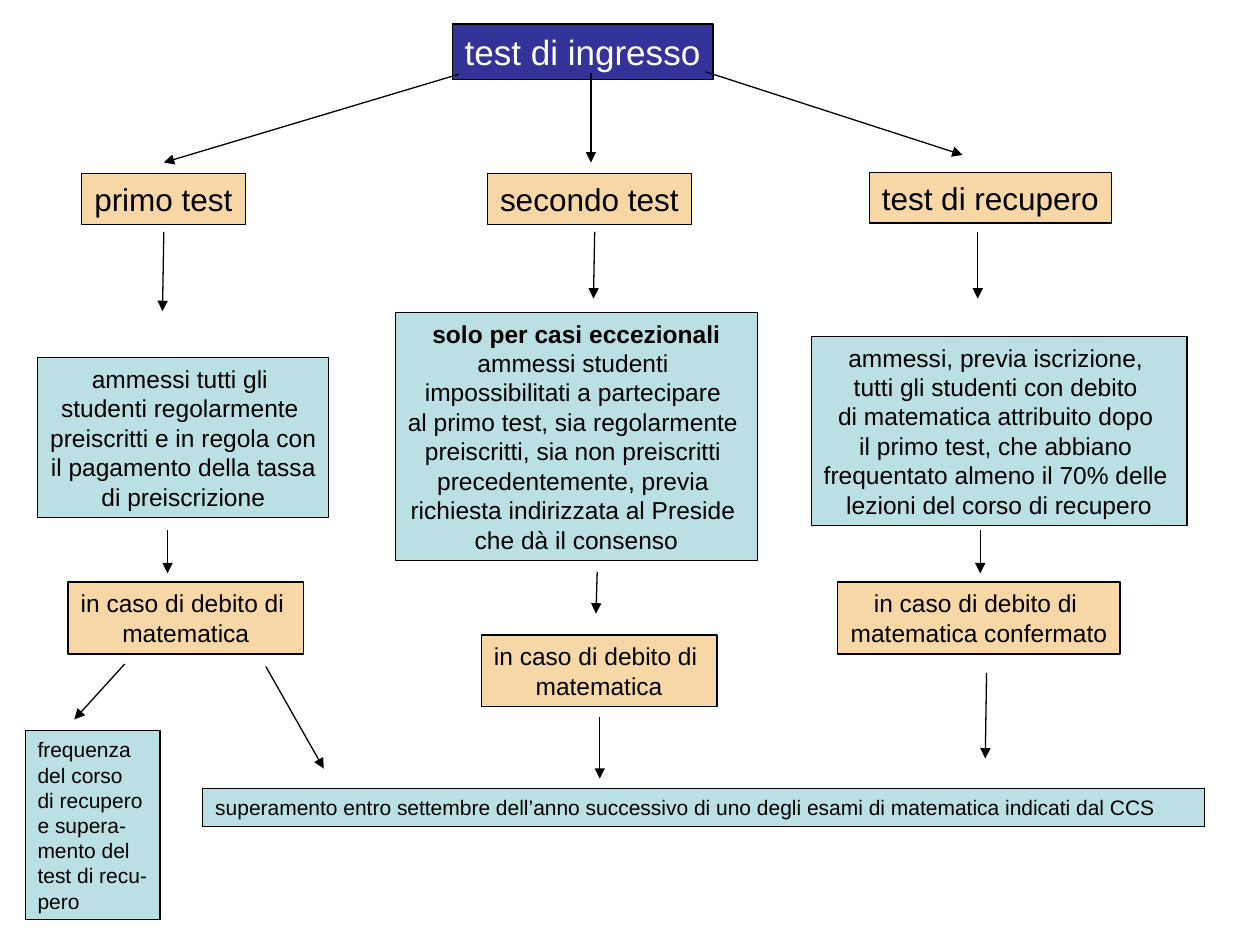
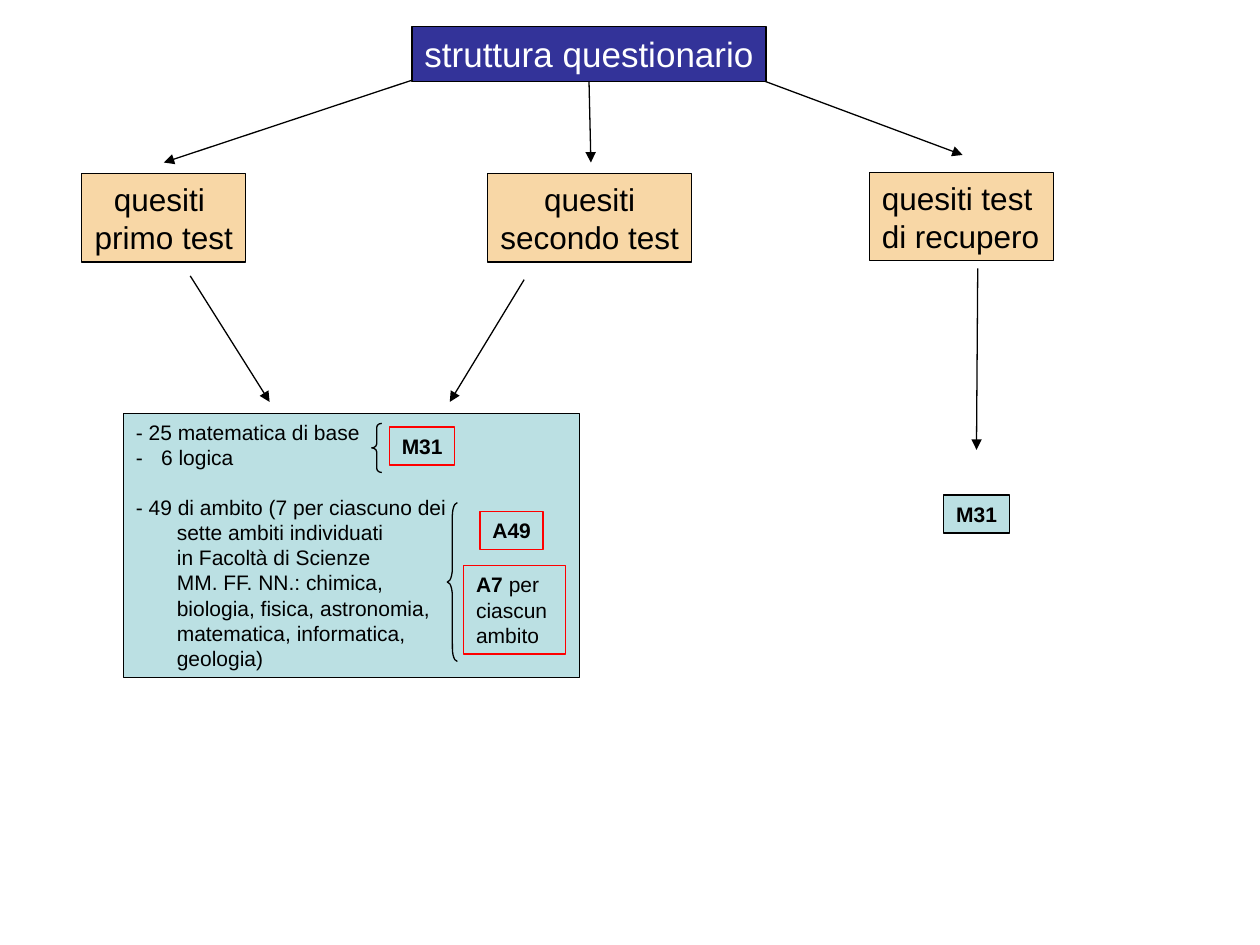
"""Build two flow charts on the entry test and its questions."""
from dataclasses import dataclass

from lxml.etree import SubElement
from pptx import Presentation
from pptx.dml.color import RGBColor
from pptx.enum.shapes import MSO_CONNECTOR, MSO_SHAPE
from pptx.enum.text import MSO_ANCHOR, MSO_AUTO_SIZE, PP_ALIGN
from pptx.oxml.ns import qn
from pptx.util import Inches, Pt


@dataclass(frozen=True)
class Theme:
    font: str = "Arial"
    navy: str = "333399"
    sand: str = "F8D7A6"
    aqua: str = "BBE0E3"
    red: str = "FF0000"
    black: str = "000000"
    white: str = "FFFFFF"
    head: int = 20
    step: int = 18
    body: int = 14
    note: int = 12
    line: float = 0.75


theme = Theme()
LEFT, MID = PP_ALIGN.LEFT, PP_ALIGN.CENTER

deck = Presentation()
deck.slide_width, deck.slide_height = Inches(10), Inches(7.5)
col, row = deck.slide_width / 100, deck.slide_height / 75


def box(slide, place, text, size, fill, align=LEFT, wrap=False):
    x, y, wide, high = place
    shape = slide.shapes.add_shape(
        MSO_SHAPE.RECTANGLE, int(x * col), int(y * row), int(wide * col), int(high * row))
    shape.shadow.inherit = False
    if fill:
        shape.fill.solid()
        shape.fill.fore_color.rgb = RGBColor.from_string(fill)
    else:
        shape.fill.background()
    shape.line.color.rgb = RGBColor.from_string(theme.black if fill else theme.red)
    shape.line.width = Pt(theme.line)
    frame = shape.text_frame
    frame.word_wrap = wrap
    frame.auto_size = MSO_AUTO_SIZE.SHAPE_TO_FIT_TEXT
    frame.vertical_anchor = MSO_ANCHOR.TOP
    frame.margin_left = int((0.6 if align == MID else 1) * col)
    frame.margin_right = int((0.6 if align == MID else 0.3) * col)
    frame.text = text
    ink = theme.white if fill == theme.navy else theme.black
    for para in frame.paragraphs:
        para.alignment = align
        strong, bar, plain = para.text.partition("|")
        if bar:
            para.text = strong
            para.runs[0].font.bold = True
            if plain:
                para.add_run().text = plain
        for run in para.runs:
            run.font.name, run.font.size = theme.font, Pt(size)
            run.font.color.rgb = RGBColor.from_string(ink)
    return shape


def arrow(slide, x1, y1, x2, y2):
    link = slide.shapes.add_connector(
        MSO_CONNECTOR.STRAIGHT, int(x1 * col), int(y1 * row), int(x2 * col), int(y2 * row))
    link.line.color.rgb = RGBColor.from_string(theme.black)
    link.line.width = Pt(theme.line)
    SubElement(link.line._get_or_add_ln(), qn("a:tailEnd"), type="triangle")
    SubElement(link._element.spPr, qn("a:effectLst"))
    return link


plans = [
    ("test di ingresso", (35.9, 1.9, 20.7, 4.4),
     [(36.4, 5.9), (46.9, 5.8), (56, 5.7)], 4, 19.2,
     [("primo test", LEFT), ("secondo test", LEFT), ("test di recupero", LEFT)]),
    ("struttura questionario", (32.7, 2.1, 28.1, 4.4),
     [(33.8, 6), (46.8, 6.5), (60.3, 6.3)], 7, 14.6,
     [("quesiti \nprimo test", MID), ("quesiti\nsecondo test", MID),
      ("quesiti test\ndi recupero", LEFT)]),
]
spots = [(6.5, 13.8, 13), (38.7, 13.8, 16.2), (69, 13.7, None)]
tips = [(13, 12.9), (46.9, 12.9), (76.4, 12.3)]

slides = []
for title, place, starts, high, last, steps in plans:
    slide = deck.slides.add_slide(deck.slide_layouts[6])
    slides.append(slide)
    head = box(slide, place, title, theme.head, theme.navy)
    for (x, y, wide), (text, align) in zip(spots, steps):
        box(slide, (x, y, wide or last, high), text, theme.step, theme.sand, align)
    links = [arrow(slide, *start, *tip) for start, tip in zip(starts, tips)]
links[1].begin_connect(head, 2)
slide.shapes._spTree.append(head._element)
entry, survey = slides

rules = [
    ((3, 28.4, 23.1, 12.7),
     "ammessi tutti gli \nstudenti regolarmente \npreiscritti e in regola con\n"
     "il pagamento della tassa\ndi preiscrizione"),
    ((31.4, 24.8, 28.7, 19.7),
     "solo per casi eccezionali|\nammessi studenti \nimpossibilitati a partecipare \n"
     "al primo test, sia regolarmente \npreiscritti, sia non preiscritti \n"
     "precedentemente, previa \nrichiesta indirizzata al Preside \nche dà il consenso"),
    ((64.4, 26.7, 29.8, 15),
     "ammessi, previa iscrizione, \ntutti gli studenti con debito \n"
     "di matematica attribuito dopo \nil primo test, che abbiano \n"
     "frequentato almeno il 70% delle \nlezioni del corso di recupero"),
]
debts = [
    ((5.4, 46.2, 18.7, 5.7), "matematica"),
    ((38.2, 50.4, 18.7, 5.7), "matematica"),
    ((66.5, 46.2, 22.4, 5.7), "matematica confermato"),
]
for place, text in rules:
    box(entry, place, text, theme.body, theme.aqua, MID)
for place, text in debts:
    box(entry, place, "in caso di debito di \n" + text, theme.body, theme.sand, MID)
box(entry, (2, 58, 10.7, 15),
    "frequenza\ndel corso\ndi recupero\ne supera-\nmento del\ntest di recu-\npero",
    theme.note, theme.aqua)
box(entry, (16.1, 62.6, 79.5, 3),
    "superamento entro settembre dell’anno successivo di uno degli esami "
    "di matematica indicati dal CCS", theme.note, theme.aqua, wrap=True)
for ends in [
    (13, 18.4, 12.9, 24.7), (47.2, 18.4, 47.1, 23.7), (77.6, 18.4, 77.6, 23.7),
    (13.3, 42.1, 13.3, 45.5), (47.4, 45.4, 47.3, 48.7), (77.8, 42.1, 77.8, 45.5),
    (9.9, 52.7, 5.9, 57.1), (21.1, 52.9, 25.7, 61),
    (47.6, 56.9, 47.6, 61.8), (78.3, 53.4, 78.2, 60.2),
]:
    arrow(entry, *ends)

topics = box(
    survey, (9.8, 32.8, 36.2, 21),
    "- 25 matematica di base\n-\t6 logica\n"
    "- 49 di ambito (7 per ciascuno dei\vsette ambiti individuati\v"
    "in Facoltà di Scienze\vMM. FF. NN.: chimica,\vbiologia, fisica, astronomia,\v"
    "matematica, informatica,\vgeologia)", theme.note, theme.aqua, wrap=True)
paras = topics.text_frame.paragraphs
for para, hang in zip(paras[1:], (2, 3.25)):
    props = para._p.get_or_add_pPr()
    props.set("marL", str(int(hang * col)))
    props.set("indent", str(int(-hang * col)))
paras[2].space_before = Pt(14)

box(survey, (74.9, 39.3, 5.2, 3), "M31|", theme.note, theme.aqua)
for place, text in [
    ((30.9, 33.9, 5.2, 3), "M31|"),
    ((38.1, 40.6, 5, 3), "A49|"),
    ((36.8, 44.9, 8.1, 7), "A7 |per\nciascun\nambito"),
]:
    box(survey, place, text, theme.note, None)
for x, y, high, curve in [(29.5, 33.6, 3.9, 0.4), (35.5, 39.9, 12.6, 1.33)]:
    brace = survey.shapes.add_shape(
        MSO_SHAPE.LEFT_BRACE, int(x * col), int(y * row), int(0.8 * col), int(high * row))
    brace.adjustments[0] = curve
    brace.shadow.inherit = False
    brace.fill.background()
    brace.line.color.rgb = RGBColor.from_string(theme.black)
    brace.line.width = Pt(theme.line)
for ends in [(15.1, 21.9, 21.4, 31.9), (41.6, 22.2, 35.7, 31.9), (77.6, 21.3, 77.5, 35.7)]:
    arrow(survey, *ends)

deck.save("out.pptx")
